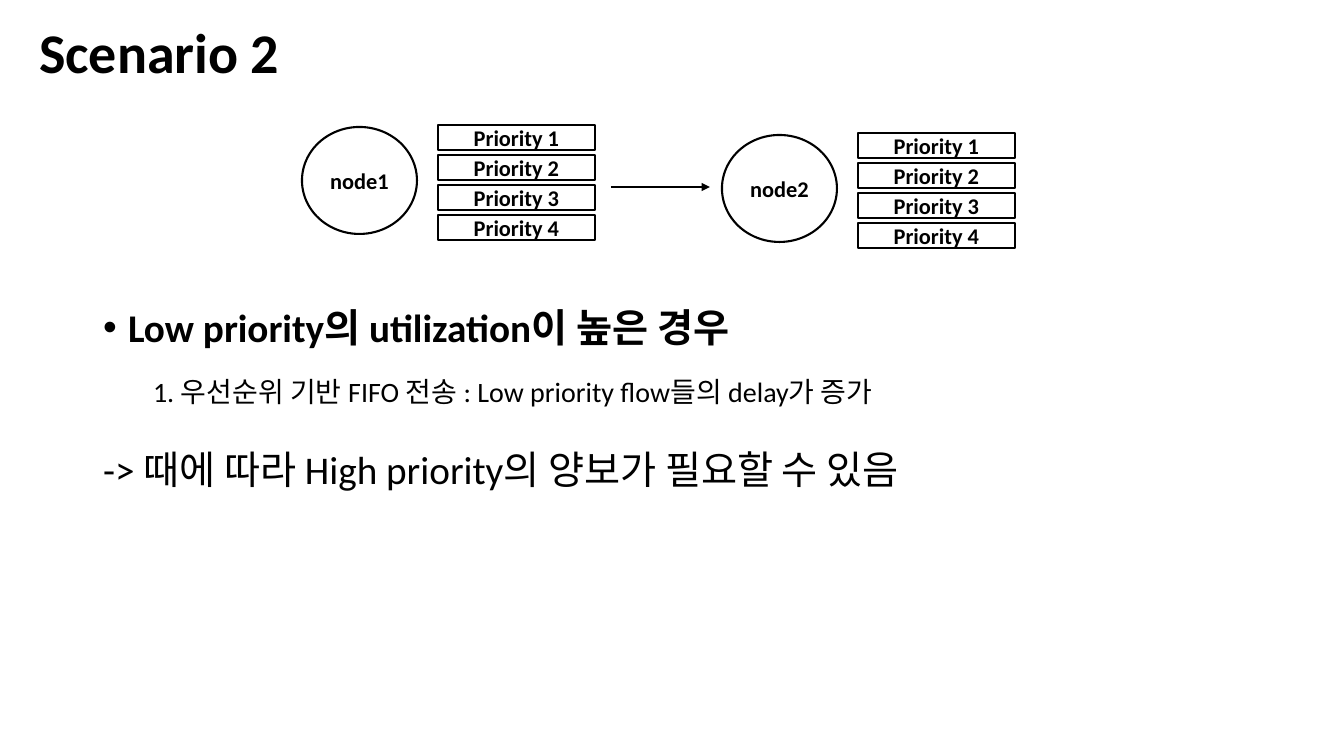
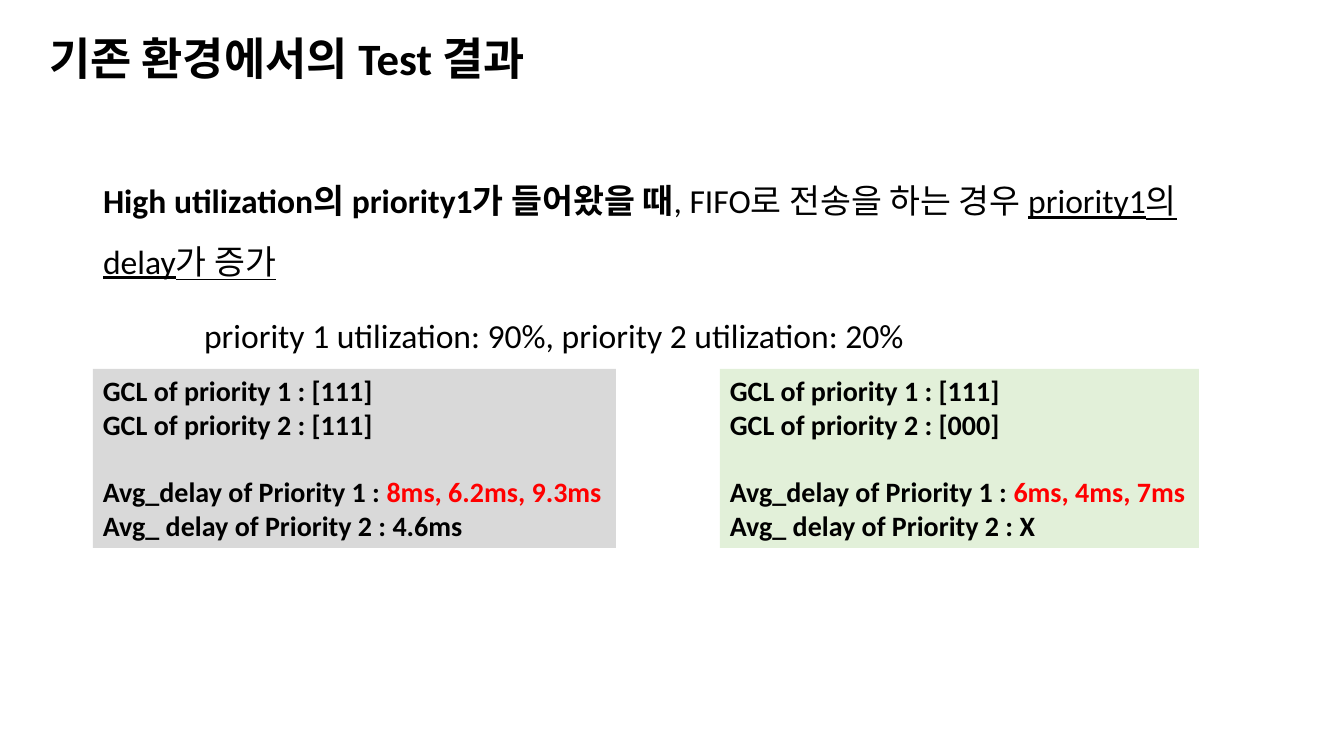
import pptx
import pptx.util
import pptx.dml.color
import pptx.enum.shapes
import pptx.enum.text
import pptx.oxml.ns
import lxml.etree
from dataclasses import dataclass

PX = 914400 / 100.8  # EMU per pixel
SHAPES = pptx.enum.shapes.MSO_SHAPE
ALIGN = pptx.enum.text.PP_ALIGN
ANCHOR = pptx.enum.text.MSO_ANCHOR
FIT = pptx.enum.text.MSO_AUTO_SIZE


@dataclass(frozen=True)
class Theme:
    font: str = "Calibri"
    ink: str = "000000"
    paper: str = "FFFFFF"
    alert: str = "FF0000"
    gray: str = "D9D9D9"
    green: str = "E2F0D9"
    title: int = 40
    title_small: int = 32
    lead: int = 28
    body: int = 24
    detail: int = 20
    label: int = 16
    line: float = 1.5


T = Theme()


def px(*values):
    return [round(v * PX) for v in values]


def rgb(code):
    return pptx.dml.color.RGBColor.from_string(code)


def set_all(obj, values):
    for name, value in values.items():
        setattr(obj, name, value)


def place(sp, box):
    set_all(sp, dict(zip(("left", "top", "width", "height"), px(*box))))


def add_runs(p, size, *runs):
    """Each run is (text, format); format may hold a colour."""
    for text, extra in runs:
        r = p.add_run()
        r.text = text
        form = {"name": T.font, "size": pptx.util.Pt(size), **extra}
        r.font.color.rgb = rgb(form.pop("color", T.ink))
        set_all(r.font, form)


def add_para(tf, number, **form):
    p = tf.paragraphs[0] if number == 0 else tf.add_paragraph()
    set_all(p, form)
    return p


def set_indent(p, margin, first=0, bullet=None):
    pPr = p._p.get_or_add_pPr()
    left, hang = px(margin, first)
    pPr.set("marL", str(left))
    pPr.set("indent", str(hang))
    tag = "a:buChar" if bullet else "a:buNone"
    mark = lxml.etree.SubElement(pPr, pptx.oxml.ns.qn(tag))
    if bullet:
        mark.set("char", bullet)


# Title and body placeholders
def add_page(prs, title, box, size):
    s = prs.slides.add_slide(prs.slide_layouts[1])
    place(s.shapes.title, box)
    tf = s.shapes.title.text_frame
    set_all(tf, {"auto_size": FIT.NONE, "vertical_anchor": ANCHOR.MIDDLE})
    p = add_para(tf, 0, alignment=ALIGN.LEFT, line_spacing=0.9)
    add_runs(p, size, (title, {"bold": True}))
    return s


def fill_body(s, box, items):
    """Each item is (level, space before, indent, size, runs)."""
    sp = s.placeholders[1]
    place(sp, box)
    sp.text_frame.auto_size = FIT.NONE
    for i, (level, before, indent, size, runs) in enumerate(items):
        p = add_para(sp.text_frame, i, level=level, line_spacing=1.5,
                     space_before=pptx.util.Pt(before))
        set_indent(p, *indent)
        add_runs(p, size, *runs)


# Node with its priority queues
def add_label(s, kind, box, text):
    sp = s.shapes.add_shape(kind, *px(*box))
    sp.shadow.inherit = False
    sp.fill.solid()
    sp.fill.fore_color.rgb = rgb(T.paper)
    sp.line.color.rgb = rgb(T.ink)
    sp.line.width = pptx.util.Pt(T.line)
    sp.text_frame.vertical_anchor = ANCHOR.MIDDLE
    p = add_para(sp.text_frame, 0, alignment=ALIGN.CENTER)
    add_runs(p, T.label, (text, {"bold": True}))


def add_node(s, x, y, name):
    add_label(s, SHAPES.OVAL, (x, y + 2, 115, 107), name)
    for i in range(4):
        add_label(s, SHAPES.RECTANGLE, (x + 136, y + 30 * i, 157, 25),
                  f"Priority {i + 1}")


def add_arrow(s, x1, x2, y):
    cx = s.shapes.add_connector(pptx.enum.shapes.MSO_CONNECTOR.STRAIGHT,
                                *px(x1, y, x2, y))
    cx.line.color.rgb = rgb(T.ink)
    cx.line.width = pptx.util.Pt(T.line)
    qn = pptx.oxml.ns.qn
    lxml.etree.SubElement(cx.line._get_or_add_ln(), qn("a:tailEnd"), type="triangle")
    lxml.etree.SubElement(cx._element.spPr, qn("a:effectLst"))


# Panel of gate settings and measured delays
def add_result(s, box, fill, gate2, delay1, delay2):
    sp = s.shapes.add_textbox(*px(*box))
    sp.fill.solid()
    sp.fill.fore_color.rgb = rgb(fill)
    set_all(sp.text_frame, {"word_wrap": False, "auto_size": FIT.SHAPE_TO_FIT_TEXT})
    bold = {"bold": True}
    lines = [
        (0, [("GCL of priority 1 : [111]", bold)]),
        (0, [(f"GCL of priority 2 : {gate2}", bold)]),
        (24, [("Avg_delay of Priority 1 : ", bold),
              (delay1, {"bold": True, "color": T.alert})]),
        (0, [(f"Avg_ delay of Priority 2 : {delay2}", bold)]),
    ]
    for i, (before, runs) in enumerate(lines):
        p = add_para(sp.text_frame, i, space_before=pptx.util.Pt(before))
        add_runs(p, T.detail, *runs)


def scenario_slide(prs):
    s = add_page(prs, "Scenario 2", (29, -18, 1159, 146), T.title)
    fill_body(s, (93, 275, 1159, 405), [
        (0, 10, (25, -25, "•"), T.lead,
         [("Low priority의 utilization이 높은 경우", {"bold": True})]),
        (1, 5, (50,), T.detail,
         [("1. 우선순위 기반 FIFO 전송 : Low priority flow들의 delay가 증가", {})]),
        (0, 10, (0,), T.lead,
         [("-> 때에 따라 High priority의 양보가 필요할 수 있음", {})]),
    ])
    add_node(s, 722, 133, "node2")
    add_arrow(s, 611, 710, 187)
    add_node(s, 302, 125, "node1")


def result_slide(prs):
    s = add_page(prs, "기존 환경에서의 Test 결과", (39, -12, 1159, 146), T.title_small)
    fill_body(s, (93, 155, 1159, 480), [
        (0, 10, (0,), T.body,
         [("High utilization의 priority1가 들어왔을 때", {"bold": True}),
          (", FIFO로 전송을 하는 경우 ", {}),
          ("priority1의 delay가 증가", {"underline": True})]),
        (0, 10, (101,), T.body,
         [("priority 1 utilization: 90%, priority 2 utilization: 20%", {})]),
    ])
    add_result(s, (93, 369, 523, 179), T.gray, "[111]", "8ms, 6.2ms, 9.3ms", "4.6ms")
    add_result(s, (720, 369, 479, 179), T.green, "[000]", "6ms, 4ms, 7ms", "X")


prs = pptx.Presentation()
prs.slide_width, prs.slide_height = px(1344, 756)
scenario_slide(prs)
result_slide(prs)
prs.save("out.pptx")
